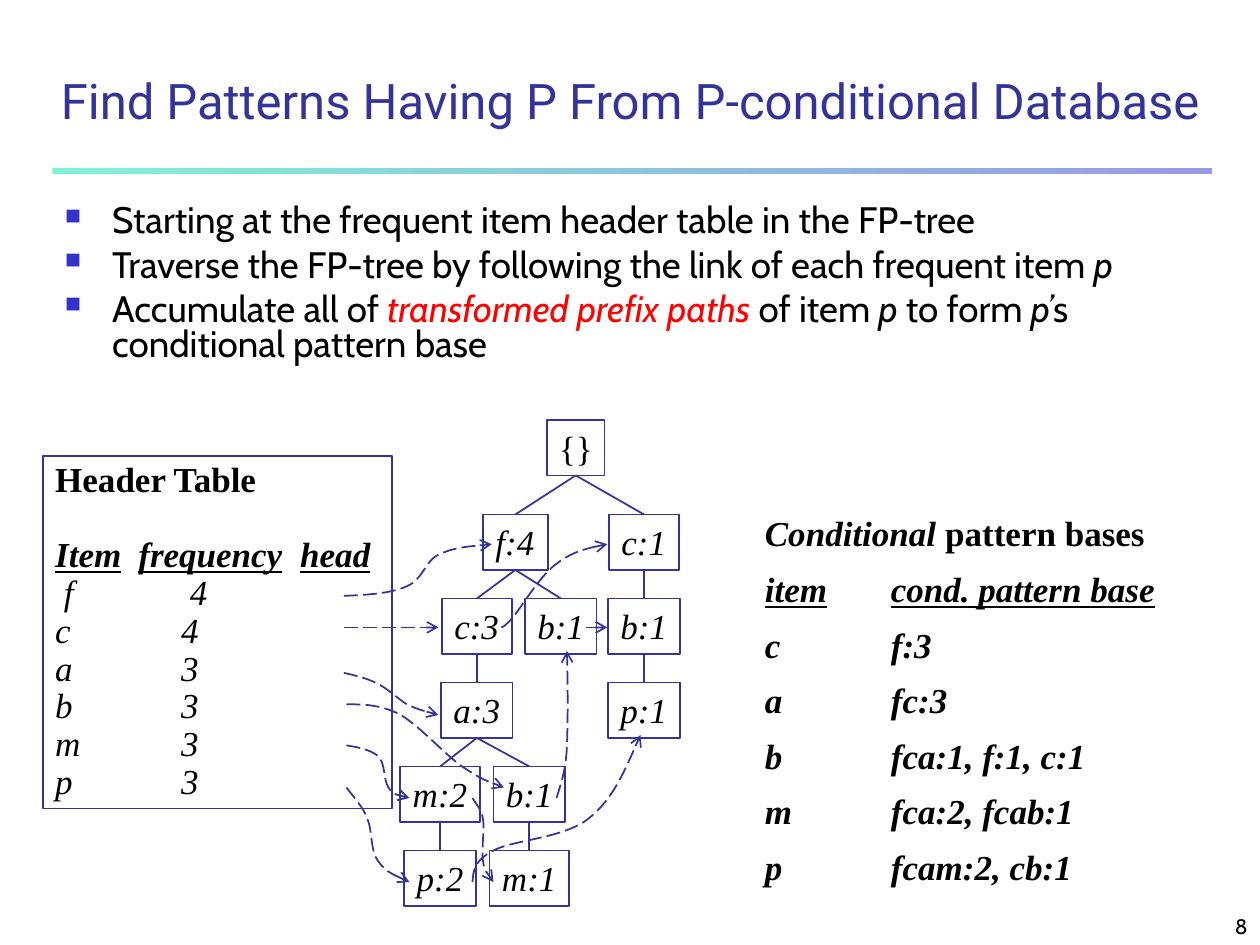
from dataclasses import dataclass
from typing import Optional

from lxml.etree import SubElement
from pptx import Presentation
from pptx.dml.color import RGBColor
from pptx.enum.dml import MSO_LINE
from pptx.enum.shapes import MSO_CONNECTOR, MSO_SHAPE
from pptx.enum.text import MSO_ANCHOR, PP_ALIGN
from pptx.oxml.ns import qn
from pptx.util import Pt

INK, BLACK, RED, BULLET = "333399", "000000", "FF0000", "3333CC"
SERIF, SANS, DISPLAY = "Times New Roman", "Cabin", "Roboto"
NODE_HEIGHT = 31.7


@dataclass(frozen=True)
class Span:
    text: str
    bold: bool = False
    italic: bool = False
    underline: bool = False
    color: str = BLACK


@dataclass(frozen=True)
class Node:
    label: str
    center: float
    top: float
    width: float
    parent: Optional["Node"] = None


def rgb(value: str) -> RGBColor:
    return RGBColor.from_string(value)


def write(para, spans: list[Span], size: float, font: str) -> None:
    for span in spans:
        run = para.add_run()
        run.text = span.text
        run.font.name, run.font.size = font, Pt(size)
        run.font.bold, run.font.italic = span.bold, span.italic
        run.font.underline = span.underline
        run.font.color.rgb = rgb(span.color)


def write_rows(frame, rows: list[list[Span]], size: float, font: str,
               spacing: float, gap: float = 0) -> None:
    for index, spans in enumerate(rows):
        para = frame.paragraphs[0] if index == 0 else frame.add_paragraph()
        para.line_spacing = spacing
        para.space_before = Pt(gap if index else 0)
        write(para, spans, size, font)


def add_text_box(page, left: float, top: float, width: float, height: float):
    box = page.shapes.add_textbox(Pt(left), Pt(top), Pt(width), Pt(height))
    box.text_frame.word_wrap = True
    return box.text_frame


def add_frame(page, left: float, top: float, width: float, height: float):
    box = page.shapes.add_shape(MSO_SHAPE.RECTANGLE, Pt(left), Pt(top), Pt(width), Pt(height))
    box.shadow.inherit = False
    box.fill.background()
    box.line.color.rgb, box.line.width = rgb(INK), Pt(1)
    box.text_frame.vertical_anchor = MSO_ANCHOR.TOP
    box.text_frame.paragraphs[0].alignment = PP_ALIGN.LEFT
    return box.text_frame


def style_link(shape) -> None:
    """Make a dashed line that ends in an open arrow."""
    shape.line.color.rgb, shape.line.width = rgb(INK), Pt(1)
    shape.line.dash_style = MSO_LINE.LONG_DASH
    SubElement(shape.element.spPr.find(qn("a:ln")), qn("a:tailEnd"), type="arrow")


def add_line(page, x1: float, y1: float, x2: float, y2: float):
    line = page.shapes.add_connector(MSO_CONNECTOR.STRAIGHT, Pt(x1), Pt(y1), Pt(x2), Pt(y2))
    line.line.color.rgb, line.line.width = rgb(INK), Pt(1)
    SubElement(line.element.spPr, qn("a:effectLst"))
    return line


def add_curve(page, points: list[tuple[float, float]]) -> None:
    """Draw Bezier pieces: a start, then two controls and an end for each piece."""
    start, *others = [(Pt(x), Pt(y)) for x, y in points]
    builder = page.shapes.build_freeform(*start)
    builder.add_line_segments(others, close=False)
    curve = builder.convert_to_shape()
    curve.shadow.inherit = False
    curve.fill.background()
    route = next(curve.element.iter(qn("a:path")))
    steps = route.findall(qn("a:lnTo"))
    for index in range(0, len(steps), 3):
        piece = SubElement(route, qn("a:cubicBezTo"))
        for step in steps[index:index + 3]:
            piece.append(step[0])
            route.remove(step)
    style_link(curve)


def add_node(page, node: Node) -> None:
    frame = add_frame(page, node.center - node.width / 2, node.top, node.width, NODE_HEIGHT)
    frame.word_wrap = False
    write(frame.paragraphs[0], [Span(node.label, italic=node.parent is not None)], 20, SERIF)
    if node.parent:
        add_line(page, node.parent.center, node.parent.top + NODE_HEIGHT, node.center, node.top)


def add_bullet(para) -> None:
    properties = para._p.get_or_add_pPr()
    properties.set("marL", str(Pt(27)))
    properties.set("indent", str(-Pt(27)))
    SubElement(SubElement(properties, qn("a:buClr")), qn("a:srgbClr"), val=BULLET)
    SubElement(properties, qn("a:buSzPct"), val="60000")
    SubElement(properties, qn("a:buChar"), char="■")


def add_tabs(para, stops: list[float]) -> None:
    tabs = SubElement(para._p.get_or_add_pPr(), qn("a:tabLst"))
    for stop in stops:
        SubElement(tabs, qn("a:tab"), pos=str(Pt(stop)), algn="l")


def tree_nodes() -> list[Node]:
    levels = [294 + 48 * depth for depth in range(5)]
    root = Node("{}", 329, 240, 33)
    f4 = Node("f:4", 294.5, levels[0], 37, root)
    c1 = Node("c:1", 368, levels[0], 40, root)
    c3 = Node("c:3", 272.5, levels[1], 40, f4)
    b_middle = Node("b:1", 320.5, levels[1], 41, f4)
    b_right = Node("b:1", 368, levels[1], 41, c1)
    a3 = Node("a:3", 272.5, levels[2], 41, c3)
    p1 = Node("p:1", 368, levels[2], 41, b_right)
    m2 = Node("m:2", 251.5, levels[3], 45.5, a3)
    b_low = Node("b:1", 302.5, levels[3], 41, a3)
    p2 = Node("p:2", 251.5, levels[4], 41, m2)
    m1 = Node("m:1", 302.5, levels[4], 45.5, b_low)
    return [root, f4, c1, c3, b_middle, b_right, a3, p1, m2, b_low, p2, m1]


CURVES = [
    [(196.5, 340.5), (210, 340), (224, 339), (232.5, 335), (242, 331), (242.5, 321),
     (250.5, 317), (259, 313), (270, 312), (281, 311)],
    [(286.5, 358.5), (287, 358.5), (288, 358.5), (293, 353), (298, 347), (308, 330),
     (317, 323), (326, 316), (336, 313), (347, 311)],
    [(196.5, 384.5), (203, 386), (209, 387.5), (214.5, 390), (221, 393), (227, 399),
     (232.5, 402.5), (239, 405.5), (245, 407), (250.5, 408.5)],
    [(198, 402.5), (207.5, 402.5), (216.5, 402.5), (228, 408), (239, 414), (254, 431),
     (264, 438), (274.5, 445), (281, 447.5), (288, 450)],
    [(318, 456), (320.5, 448), (323.5, 440), (324, 426), (324.5, 412), (324.5, 392.5), (324, 372)],
    [(198, 426), (205, 427), (211.5, 428.5), (216, 432), (220.5, 436.5), (219, 445.5),
     (222, 450), (225, 454.5), (229.5, 455), (234, 456)],
    [(270, 456), (272, 459.5), (275, 462), (276, 468), (277, 474), (275, 486),
     (276, 492), (277, 498), (279.5, 501), (282, 504)],
    [(198, 450), (202.5, 456), (207.5, 461), (210, 468), (213, 475), (211.5, 486),
     (216, 492), (220.5, 498), (227, 501), (234, 504)],
    [(270, 504), (270.5, 498), (270.5, 492), (282, 486), (293, 480), (322, 479),
     (336, 468), (350, 457), (358, 438), (366, 420)],
]


def main() -> None:
    deck = Presentation()
    deck.slide_width, deck.slide_height = Pt(720), Pt(540)
    page = deck.slides.add_slide(deck.slide_layouts[6])

    # Rule, title and page number
    rule = page.shapes.add_shape(MSO_SHAPE.RECTANGLE, Pt(30), Pt(96), Pt(662.5), Pt(3.75))
    rule.shadow.inherit = False
    rule.line.fill.background()
    rule.fill.gradient()
    rule.fill.gradient_angle = 0
    for stop, color in zip(rule.fill.gradient_stops, ["80F2D4", "9999E6"]):
        stop.color.rgb = rgb(color)
    heading = [Span("Find Patterns Having P From P-conditional Database", color=INK)]
    for area, spans, size, font, align in [
        ((0, 24, 720, 54), heading, 28, DISPLAY, PP_ALIGN.CENTER),
        ((570, 510, 150, 30), [Span("8")], 12, SANS, PP_ALIGN.RIGHT),
    ]:
        frame = add_text_box(page, *area)
        frame.vertical_anchor = MSO_ANCHOR.BOTTOM
        frame.paragraphs[0].alignment = align
        write_rows(frame, [spans], size, font, 0.9)

    # Bullets
    body = add_text_box(page, 30, 114, 660, 120)
    write_rows(body, [
        [Span("Starting at the frequent item header table in the FP-tree")],
        [Span("Traverse the FP-tree by following the link of each frequent item "),
         Span("p", italic=True)],
        [Span("Accumulate all of "), Span("transformed prefix paths", italic=True, color=RED),
         Span(" of item "), Span("p ", italic=True), Span("to form "),
         Span("p’", italic=True), Span("s conditional pattern base")],
    ], 21, SANS, 0.8, 5.2)
    for para in body.paragraphs:
        add_bullet(para)

    # Conditional pattern bases
    bases = ["c\tf:3", "a\tfc:3", "b\tfca:1, f:1, c:1", "m\tfca:2, fcab:1", "p\tfcam:2, cb:1"]
    frame = add_text_box(page, 430, 289, 262, 222)
    write_rows(frame, [
        [Span("Conditional ", True, True), Span("pattern bases", True)],
        [Span("item\tcond. pattern base", True, True, True)],
        *[[Span(base, True, True)] for base in bases],
    ], 20, SERIF, 0.8, 12.5)
    frame.paragraphs[0].line_spacing = 1.0
    for para in frame.paragraphs[1:]:
        add_tabs(para, [72])

    # Tree
    for node in tree_nodes():
        add_node(page, node)

    # Header table
    frame = add_frame(page, 24.5, 260.5, 199.5, 201.5)
    counts = ["f\t4", "c\t4", "a\t3", "b\t3", "m\t3", "p\t3"]
    write_rows(frame, [
        [Span("Header Table", True)],
        [Span("Item\tfrequency\thead", True, True, True)],
        *[[Span(count, italic=True)] for count in counts],
    ], 20, SERIF, 0.9)
    _, columns, first, *rest = frame.paragraphs
    columns.space_before = Pt(21.5)
    add_tabs(columns, [47.5, 140])
    first._p.get_or_add_pPr().set("marL", str(Pt(5)))
    for para in [first, *rest]:
        para.alignment = PP_ALIGN.LEFT
        add_tabs(para, [72])
    columns.alignment = PP_ALIGN.LEFT

    # Node links
    for points in CURVES:
        add_curve(page, points)
    for start, end in [(196.5, 250.5), (335, 347)]:
        style_link(add_line(page, start, 358.5, end, 358.5))

    deck.save("out.pptx")


if __name__ == "__main__":
    main()
